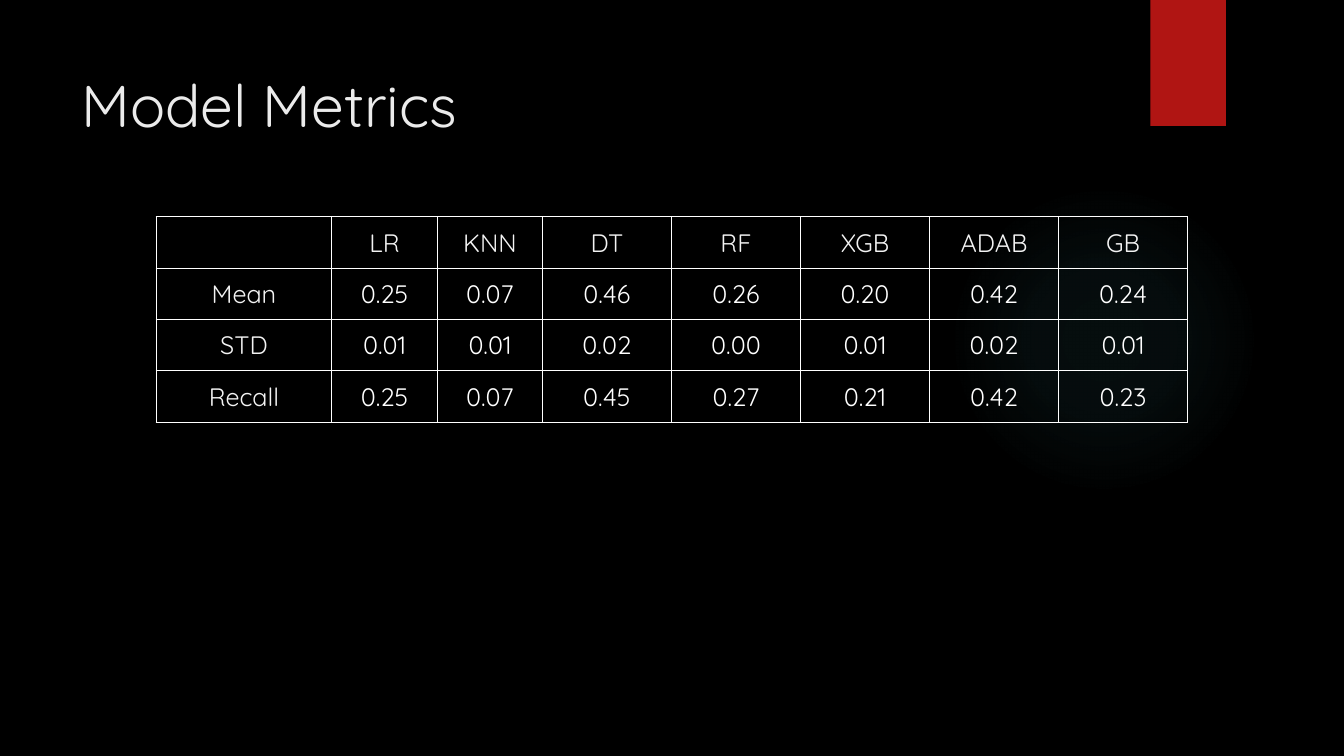
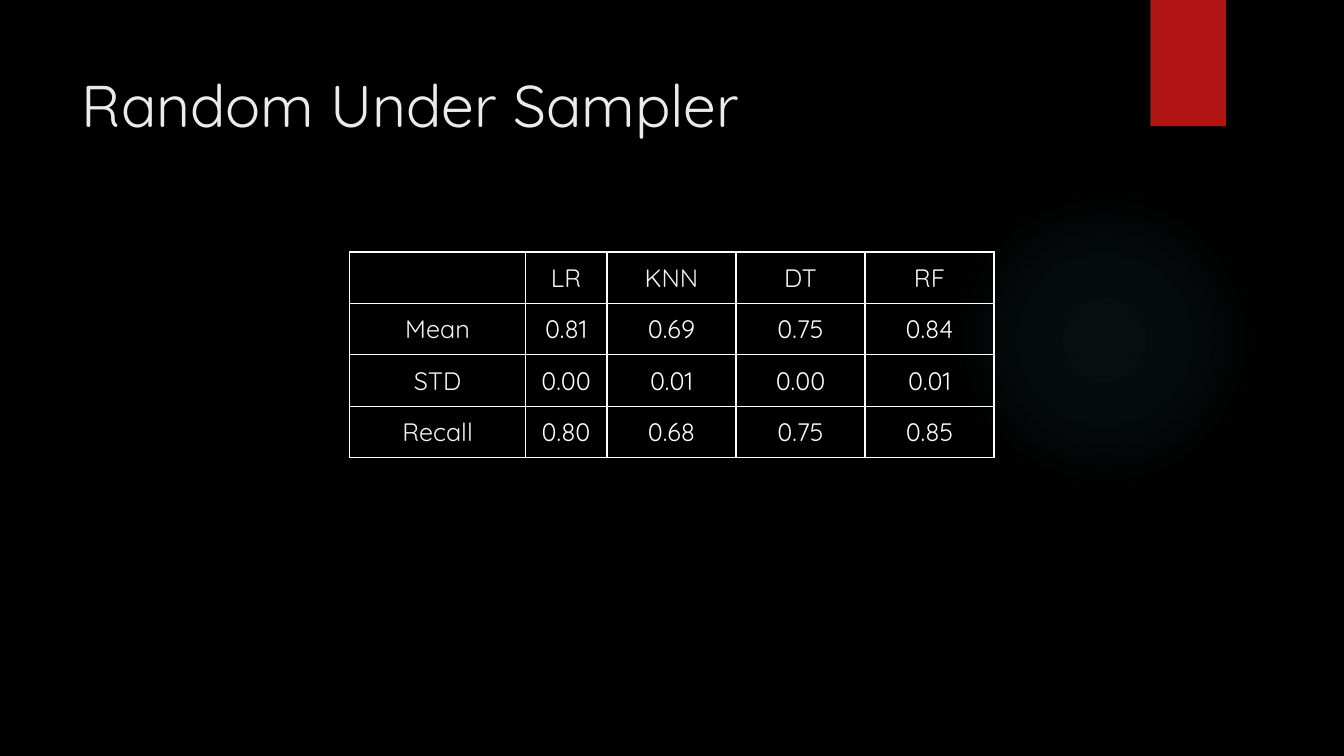
from dataclasses import dataclass

from lxml.etree import SubElement
from pptx import Presentation
from pptx.dml.color import RGBColor
from pptx.enum.shapes import MSO_SHAPE
from pptx.enum.text import MSO_ANCHOR, PP_ALIGN
from pptx.oxml import parse_xml
from pptx.oxml.ns import nsdecls, qn
from pptx.util import Emu, Pt

EMU_PER_PX = 9144
SLIDE_WIDTH, SLIDE_HEIGHT = 1333, 750
LABEL_WIDTH, MODEL_WIDTH, ROW_HEIGHT = 174, 128, 51
CELL_MARGIN = 10


@dataclass(frozen=True)
class Theme:
    font: str = "Quicksand"
    background: str = "000000"
    band: str = "B01513"
    glow: str = "50B9C1"
    title: str = "EBEBEB"
    label: str = "F3F3F3"
    value: str = "FFFFFF"
    border: str = "FFFFFF"
    title_size: int = 42
    cell_size: int = 18
    border_width: int = 1


THEME = Theme()
GLOW_STOPS = ((0, 7), (36, 6), (69, 0))  # position and opacity, in percent

METRICS_MODELS = ("LR", "KNN", "DT", "RF", "XGB", "ADAB", "GB")
METRICS_ROWS = (
    ("Mean", "0.25", "0.07", "0.46", "0.26", "0.20", "0.42", "0.24"),
    ("STD", "0.01", "0.01", "0.02", "0.00", "0.01", "0.02", "0.01"),
    ("Recall", "0.25", "0.07", "0.45", "0.27", "0.21", "0.42", "0.23"),
)
SAMPLER_MODELS = ("LR", "KNN", "DT", "RF")
SAMPLER_ROWS = (
    ("Mean", "0.81", "0.69", "0.75", "0.84"),
    ("STD", "0.00", "0.01", "0.00", "0.01"),
    ("Recall", "0.80", "0.68", "0.75", "0.85"),
)


def px(length):
    return Emu(length * EMU_PER_PX)


def box(left, top, width, height):
    return [px(length) for length in (left, top, width, height)]


def set_attributes(target, values):
    for name, value in values.items():
        setattr(target, name, value)


def write(paragraph, text, size, color):
    run = paragraph.add_run()
    run.text = text
    set_attributes(run.font, {"name": THEME.font, "size": Pt(size)})
    run.font.color.rgb = RGBColor.from_string(color)


def add_plain_shape(slide, preset, *bounds):
    shape = slide.shapes.add_shape(preset, *box(*bounds))
    shape.shadow.inherit = False
    shape.line.fill.background()
    return shape


def fill_glow(shape):
    """Fill a shape with a translucent colour that fades out from its centre."""
    stops = "".join(
        f'<a:gs pos="{position * 1000}"><a:srgbClr val="{THEME.glow}">'
        f'<a:alpha val="{opacity * 1000}"/></a:srgbClr></a:gs>'
        for position, opacity in GLOW_STOPS
    )
    gradient = parse_xml(
        f'<a:gradFill {nsdecls("a")}><a:gsLst>{stops}</a:gsLst><a:path path="circle">'
        '<a:fillToRect l="50000" t="50000" r="50000" b="50000"/></a:path></a:gradFill>'
    )
    shape._element.spPr.find(qn("a:prstGeom")).addnext(gradient)


def add_title(slide, text):
    frame = slide.shapes.add_textbox(*box(71, 61, 1029, 84)).text_frame
    set_attributes(frame, {"word_wrap": True, "vertical_anchor": MSO_ANCHOR.MIDDLE})
    write(frame.paragraphs[0], text, THEME.title_size, THEME.title)


def add_themed_slide(deck, title):
    slide = deck.slides.add_slide(deck.slide_layouts[6])
    fill_glow(add_plain_shape(slide, MSO_SHAPE.OVAL, 941, 183, 308, 308))
    band = add_plain_shape(slide, MSO_SHAPE.RECTANGLE, 1141, 0, 75, 125)
    band.fill.solid()
    band.fill.fore_color.rgb = RGBColor.from_string(THEME.band)
    add_title(slide, title)
    return slide


def add_borders(cell):
    properties = cell._tc.get_or_add_tcPr()
    for side in ("a:lnL", "a:lnR", "a:lnT", "a:lnB"):
        line = SubElement(properties, qn(side), w=str(Pt(THEME.border_width)))
        fill = SubElement(line, qn("a:solidFill"))
        SubElement(fill, qn("a:srgbClr"), val=THEME.border)


def format_cell(cell, text, color):
    add_borders(cell)
    cell.fill.background()
    sides = ("left", "right", "top", "bottom")
    set_attributes(cell, {f"margin_{side}": px(CELL_MARGIN) for side in sides})
    paragraph = cell.text_frame.paragraphs[0]
    paragraph.alignment = PP_ALIGN.CENTER
    if text:
        write(paragraph, text, THEME.cell_size, color)


def add_score_table(slide, top, models, score_rows, narrow_widths):
    """Centre a table of scores; narrow_widths apply to its first models."""
    rows = [("", *models), *score_rows]
    wide_count = len(models) - len(narrow_widths)
    widths = [LABEL_WIDTH, *narrow_widths, *[MODEL_WIDTH] * wide_count]
    total = sum(widths)
    bounds = box((SLIDE_WIDTH - total) // 2, top, total, ROW_HEIGHT * len(rows))
    table = slide.shapes.add_table(len(rows), len(widths), *bounds).table
    set_attributes(table, {"first_row": False, "horz_banding": False})
    for column, width in zip(table.columns, widths):
        column.width = px(width)
    for row_index, texts in enumerate(rows):
        table.rows[row_index].height = px(ROW_HEIGHT)
        for column_index, text in enumerate(texts):
            is_value = row_index and column_index
            color = THEME.value if is_value else THEME.label
            format_cell(table.cell(row_index, column_index), text, color)


def main():
    deck = Presentation()
    set_attributes(deck, {"slide_width": px(SLIDE_WIDTH), "slide_height": px(SLIDE_HEIGHT)})
    backdrop = deck.slide_master.background.fill
    backdrop.solid()
    backdrop.fore_color.rgb = RGBColor.from_string(THEME.background)

    metrics = add_themed_slide(deck, "Model Metrics")
    add_score_table(metrics, 215, METRICS_MODELS, METRICS_ROWS, (105, 104))

    sampler = add_themed_slide(deck, "Random Under Sampler")
    add_score_table(sampler, 250, SAMPLER_MODELS, SAMPLER_ROWS, (81,))

    deck.save("out.pptx")


if __name__ == "__main__":
    main()
